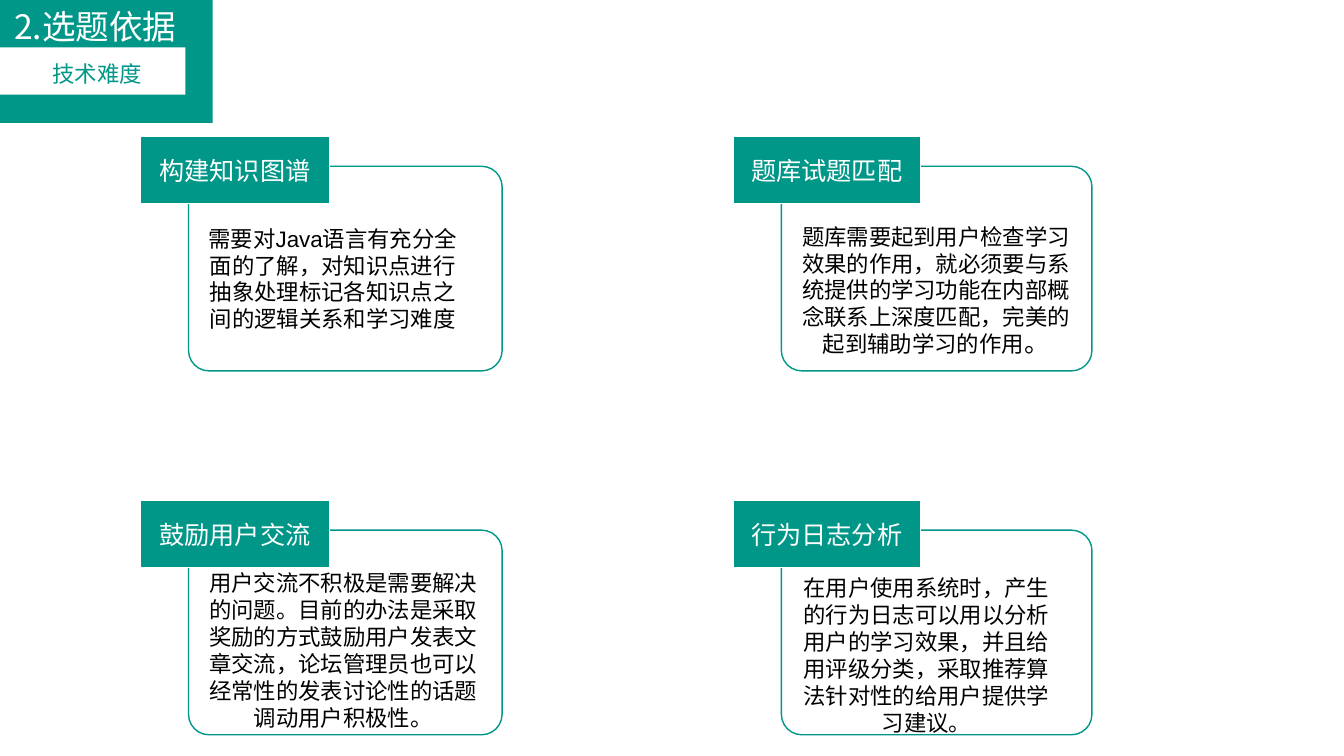
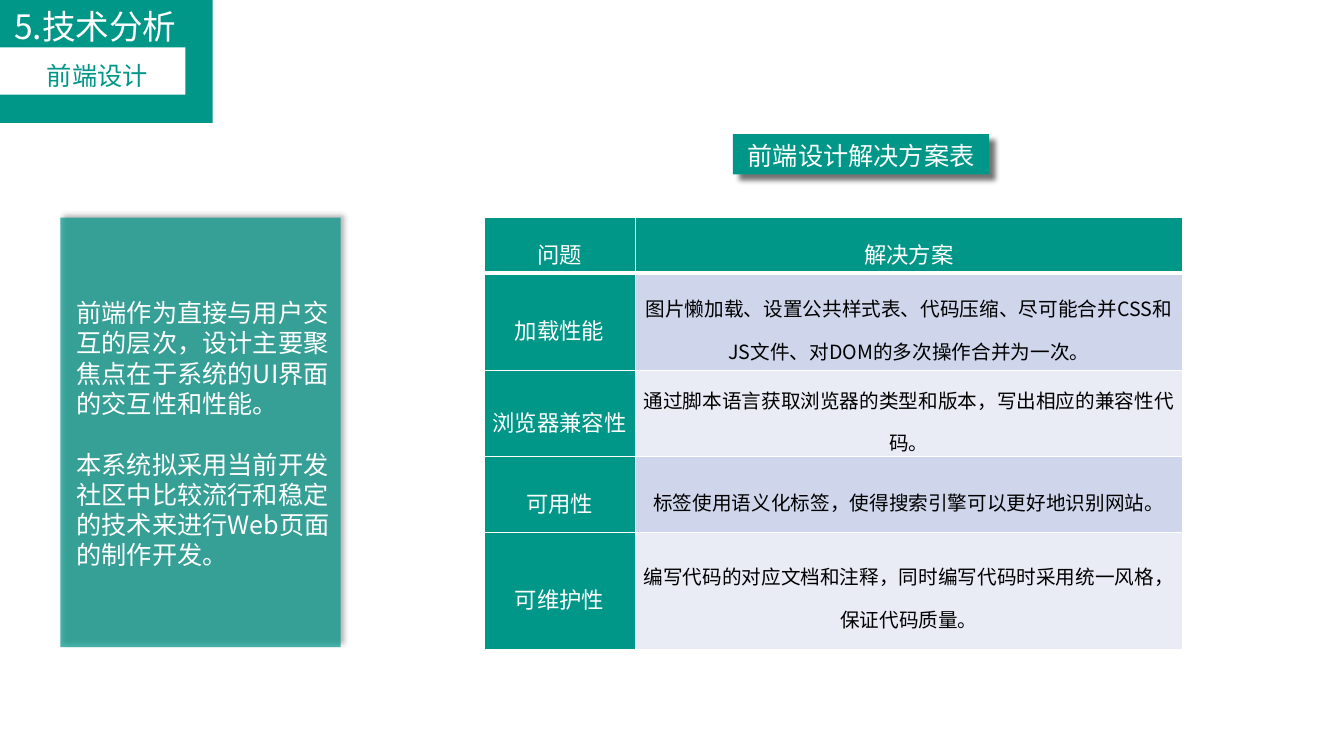
from lxml import etree
from pptx import Presentation
from pptx.dml.color import RGBColor
from pptx.enum import shapes, text
from pptx.oxml import ns
from pptx.util import Inches, Pt

# Shared look
TEAL, WHITE, BLACK = "009688", "FFFFFF", "000000"
BANDS = ("CFD5EA", "E9EBF5")
FONT = "Noto Sans CJK SC"
CENTER, LEFT = text.PP_ALIGN.CENTER, text.PP_ALIGN.LEFT
MIDDLE, TOP = text.MSO_ANCHOR.MIDDLE, text.MSO_ANCHOR.TOP
RECT, ROUNDED = shapes.MSO_SHAPE.RECTANGLE, shapes.MSO_SHAPE.ROUNDED_RECTANGLE

# Content of the difficulty slide: cards run row by row
CARD_LEFTS, CARD_TOPS = (1.39, 7.27), (1.35, 4.96)
LABEL_WIDTHS, FRAME_WIDTHS = (1.88, 1.86), (3.11, 3.08)
CARDS = [
    dict(label="构建知识图谱", at=(1.94, 2.16, 2.72, 1.18), latin="Arial",
         body="需要对Java语言有充分全面的了解，对知识点进行抽象处理标记各知识点之间的逻辑关系和学习难度"),
    dict(label="题库试题匹配", at=(7.82, 2.14, 2.93, 1.48), ending=("。", 18),
         body="题库需要起到用户检查学习效果的作用，就必须要与系统提供的学习功能在内部概念联系上深度匹配，完美的起到辅助学习的作用"),
    dict(label="鼓励用户交流", at=(1.9, 5.58, 3.01, 1.72),
         body="用户交流不积极是需要解决的问题。目前的办法是采取奖励的方式鼓励用户发表文章交流，论坛管理员也可以经常性的发表讨论性的话题调动用户积极性。"),
    dict(label="行为日志分析", at=(7.83, 5.63, 2.72, 1.72),
         body="在用户使用系统时，产生的行为日志可以用以分析用户的学习效果，并且给用评级分类，采取推荐算法针对性的给用户提供学习建议。"),
]

# Content of the front-end slide
PANEL_TEXT = [
    "前端作为直接与用户交互的层次，设计主要聚焦点在于系统的UI界面的交互性和性能。",
    "本系统拟采用当前开发社区中比较流行和稳定的技术来进行Web页面的制作开发。",
]
SOLUTIONS = [
    ("问题", "解决方案"),
    ("加载性能", "图片懒加载、设置公共样式表、代码压缩、尽可能合并CSS和JS文件、对DOM的多次操作合并为一次。"),
    ("浏览器兼容性", "通过脚本语言获取浏览器的类型和版本，写出相应的兼容性代码。"),
    ("可用性", "标签使用语义化标签，使得搜索引擎可以更好地识别网站。"),
    ("可维护性", "编写代码的对应文档和注释，同时编写代码时采用统一风格，保证代码质量。"),
]
COLUMN_WIDTHS = (1.5, 5.43)
ROW_HEIGHTS = (0.55, 0.97, 0.84, 0.75, 1.16)


def rgb(value):
    return RGBColor.from_string(value)


def box(values):
    return [Inches(value) for value in values]


def sub(parent, tag, **attributes):
    """Append a drawing element with the given attributes."""
    element = etree.SubElement(parent, ns.qn("a:" + tag))
    for name, value in attributes.items():
        element.set(name, str(value))
    return element


def set_fill(target, color, opacity=100):
    target.fill.solid()
    target.fill.fore_color.rgb = rgb(color)
    if opacity < 100:
        sub(target._element.spPr.find(ns.qn("a:solidFill"))[0],
            "alpha", val=opacity * 1000)


def add_run(paragraph, words, size, color, latin=FONT):
    run = paragraph.add_run()
    run.text = words
    for name, value in dict(size=Pt(size), bold=False, name=latin).items():
        setattr(run.font, name, value)
    run.font.color.rgb = rgb(color)
    sub(run._r.get_or_add_rPr(), "ea", typeface=FONT)


def write(frame, paragraphs, size, color, align=CENTER, anchor=TOP,
          latin=FONT, gap=0, side=0.1):
    settings = dict(word_wrap=True, auto_size=text.MSO_AUTO_SIZE.NONE,
                    vertical_anchor=anchor,
                    margin_left=Inches(side), margin_right=Inches(side),
                    margin_top=Inches(0.07), margin_bottom=Inches(0.05))
    for name, value in settings.items():
        setattr(frame, name, value)
    for i, words in enumerate(paragraphs):
        paragraph = frame.add_paragraph() if i else frame.paragraphs[0]
        paragraph.alignment = align
        paragraph.line_spacing = Pt(size * 1.2)
        paragraph.space_before = Pt(gap if i else 0)
        add_run(paragraph, words, size, color, latin)


def add_box(slide, at, color, kind=RECT, line=None, opacity=100):
    shape = slide.shapes.add_shape(kind, *box(at))
    shape.shadow.inherit = False
    set_fill(shape, color, opacity)
    if line:
        shape.line.color.rgb = rgb(line)
        shape.line.width = Pt(1)
    else:
        shape.line.fill.background()
    return shape


def add_text(slide, at, paragraphs, size, color, **options):
    frame = slide.shapes.add_textbox(*box(at)).text_frame
    write(frame, paragraphs, size, color, **options)
    return frame


def cast_shadow(shape, opacity, blur, distance, angle):
    effects = shape._element.spPr.find(ns.qn("a:effectLst"))
    outer = sub(effects, "outerShdw", blurRad=Pt(blur), dist=Pt(distance),
                dir=angle * 60000, algn="ctr", rotWithShape=0)
    sub(sub(outer, "srgbClr", val=BLACK), "alpha", val=opacity * 1000)


def add_slide(prs, heading, topic, topic_size):
    """Start a slide with the corner block, its title and its topic."""
    slide = prs.slides.add_slide(prs.slide_layouts[5])
    add_box(slide, (-0.01, -0.01, 2.12, 1.23), TEAL)
    title = slide.shapes.title
    title.left, title.top, title.width, title.height = box((-0.01, 0, 1.91, 0.5))
    set_fill(title, TEAL)
    write(title.text_frame, [heading], 24, WHITE, anchor=MIDDLE, side=0.05)
    slide.shapes._spTree.append(title._element)  # bring in front of the block
    add_box(slide, (-0.01, 0.47, 1.85, 0.47), WHITE)
    add_text(slide, (0.04, 0.53, 1.85, 0.4), [topic], topic_size, TEAL)
    return slide


def add_card(slide, index, card):
    row, column = divmod(index, 2)
    left, top = CARD_LEFTS[column], CARD_TOPS[row]
    frame = add_box(slide, (left + 0.48, top + 0.3, FRAME_WIDTHS[column], 2.03),
                    WHITE, ROUNDED, TEAL, opacity=90)
    frame.adjustments[0] = 0.1
    label = add_box(slide, (left, top, LABEL_WIDTHS[column], 0.67), TEAL, line=WHITE)
    write(label.text_frame, [card["label"]], 18, WHITE, anchor=MIDDLE)
    body = add_text(slide, card["at"], [card["body"]], 16, BLACK,
                    latin=card.get("latin", FONT))
    if "ending" in card:
        add_run(body.paragraphs[0], *card["ending"], BLACK)


def set_borders(cell, **widths):
    properties = cell._tc.get_or_add_tcPr()
    for i, side in enumerate("LRTB"):
        line = sub(properties, "ln" + side, w=Pt(widths.get(side, 1)))
        sub(sub(line, "solidFill"), "srgbClr", val=WHITE)
        properties.insert(i, line)


def add_solutions(slide):
    table = slide.shapes.add_table(len(SOLUTIONS), 2,
                                   *box((4.8, 2.16, 6.93, 4.27))).table
    for column, width in zip(table.columns, COLUMN_WIDTHS):
        column.width = Inches(width)
    for r, (height, words) in enumerate(zip(ROW_HEIGHTS, SOLUTIONS)):
        table.rows[r].height = Inches(height)
        for c, entry in enumerate(words):
            cell = table.cell(r, c)
            heading = r == 0 or c == 0
            settings = dict(vertical_anchor=MIDDLE, margin_top=0, margin_bottom=0,
                            margin_left=Inches(0.07), margin_right=Inches(0.07))
            for name, value in settings.items():
                setattr(cell, name, value)
            set_fill(cell, TEAL if heading else BANDS[(r - 1) % 2])
            set_borders(cell, B=3 if r == 0 else 1, T=3 if r == 1 else 1)
            paragraph = cell.text_frame.paragraphs[0]
            paragraph.alignment = CENTER
            paragraph.line_spacing = 1.5
            add_run(paragraph, entry, 16 if heading else 14,
                    WHITE if heading else BLACK)


def main():
    prs = Presentation()
    prs.slide_width, prs.slide_height = Inches(13.33), Inches(7.5)

    # Technical difficulty
    difficulty = add_slide(prs, "2.选题依据", "技术难度", 16)
    for index, card in enumerate(CARDS):
        add_card(difficulty, index, card)

    # Front-end design
    front_end = add_slide(prs, "5.技术分析", "前端设计", 18)
    panel = add_box(front_end, (0.6, 2.16, 2.78, 4.26), TEAL, opacity=70)
    cast_shadow(panel, 40, 4, 3, 315)
    add_text(front_end, (0.66, 2.88, 2.73, 2.83), PANEL_TEXT, 18, WHITE,
             align=LEFT, gap=22)
    add_solutions(front_end)
    caption = add_box(front_end, (7.27, 1.33, 2.54, 0.4), TEAL)
    cast_shadow(caption, 55, 4, 6, 45)
    write(caption.text_frame, ["前端设计解决方案表"], 18, WHITE, anchor=MIDDLE)

    prs.save("out.pptx")


if __name__ == "__main__":
    main()
